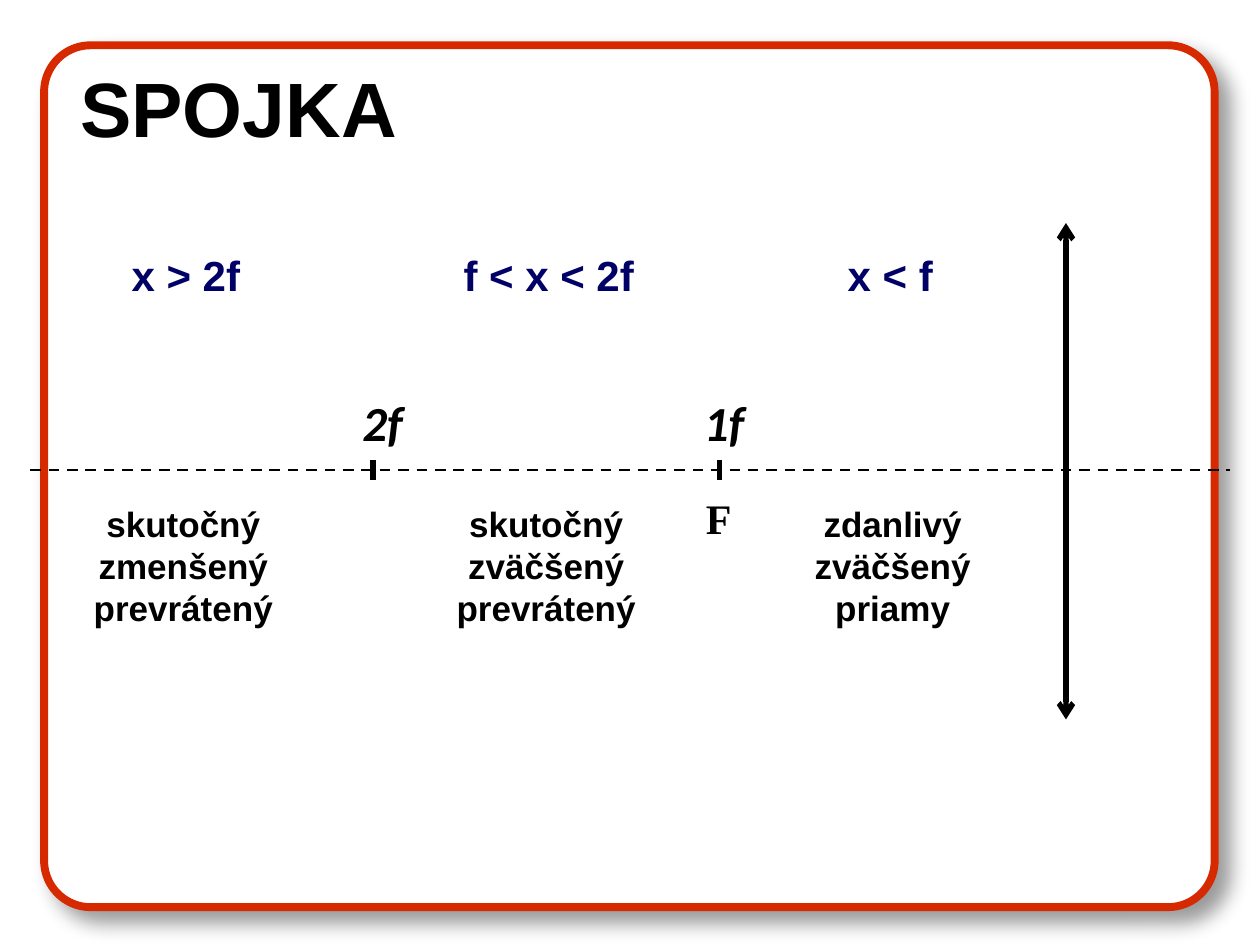
from lxml import etree
from pptx import Presentation
from pptx.dml.color import RGBColor
from pptx.enum.dml import MSO_LINE
from pptx.enum.shapes import MSO_CONNECTOR, MSO_SHAPE
from pptx.enum.text import MSO_AUTO_SIZE, PP_ALIGN
from pptx.oxml import parse_xml
from pptx.oxml.ns import nsdecls, qn
from pptx.util import Inches, Pt

BLACK = RGBColor(0x00, 0x00, 0x00)
WHITE = RGBColor(0xFF, 0xFF, 0xFF)
NAVY = RGBColor(0x00, 0x00, 0x66)
RED = RGBColor(0xD6, 0x29, 0x00)

ZONES = [
    ("x > 2f", 0.39, ["skutočný", "zmenšený", "prevrátený"], 0.19),
    ("f < x < 2f", 3.27, ["skutočný", "zväčšený", "prevrátený"], 3.07),
    ("x < f", 5.98, ["zdanlivý", "zväčšený", "priamy"], 5.82),
]


def add_label(shapes, box, lines, size, font_name="Arial", color=BLACK, italic=False):
    label = shapes.add_textbox(*map(Inches, box))
    text_frame = label.text_frame
    text_frame.word_wrap = True
    text_frame.auto_size = MSO_AUTO_SIZE.SHAPE_TO_FIT_TEXT
    text_frame.text = "\n".join(lines)
    for paragraph in text_frame.paragraphs:
        paragraph.alignment = PP_ALIGN.CENTER
        font = paragraph.runs[0].font
        font.name = font_name
        font.size = Pt(size)
        font.bold = True
        font.italic = italic
        font.color.rgb = color


def add_line(shapes, start, end, width):
    connector = shapes.add_connector(
        MSO_CONNECTOR.STRAIGHT, *map(Inches, (*start, *end))
    )
    connector.line.color.rgb = BLACK
    connector.line.width = Pt(width)
    etree.SubElement(connector.line._get_or_add_ln().getparent(), qn("a:effectLst"))
    return connector


def add_frame(shapes, box):
    frame = shapes.add_shape(MSO_SHAPE.ROUNDED_RECTANGLE, *map(Inches, box))
    frame.adjustments[0] = 0.054
    frame.fill.solid()
    frame.fill.fore_color.rgb = WHITE
    frame.line.color.rgb = RED
    frame.line.width = Pt(4.5)
    frame.shadow.inherit = False
    effects = frame._element.spPr.find(qn("a:effectLst"))
    effects.append(parse_xml(
        f'<a:outerShdw {nsdecls("a")} blurRad="{Pt(12)}" dist="{Pt(9)}" '
        'dir="2700000" algn="tl" rotWithShape="0">'
        '<a:srgbClr val="000000"><a:alpha val="40000"/></a:srgbClr></a:outerShdw>'
    ))


def add_lens(shapes, x, top, bottom):
    lens = add_line(shapes, (x, top), (x, bottom), 3)
    line = lens.line._get_or_add_ln()
    for end in ("a:headEnd", "a:tailEnd"):
        etree.SubElement(line, qn(end), type="arrow")


def add_focal_marks(shapes, lens_x, axis_y, focal_length):
    for multiple, label_shift in ((1, -0.24), (2, -0.2)):
        x = lens_x - multiple * focal_length
        add_line(shapes, (x, axis_y - 0.08), (x, axis_y + 0.08), 3)
        add_label(shapes, (x + label_shift, axis_y - 0.66, 0.55, 0.57),
                  [f"{multiple}f"], 28, "Calibri", italic=True)
    focus_x = lens_x - focal_length
    add_label(shapes, (focus_x - 0.36, axis_y + 0.13, 0.71, 0.5),
              ["F"], 24, "Times New Roman")


def add_lens_diagram(shapes, box):
    left, top, width, height = box
    axis_y = top + height / 2 - 0.01
    lens_x = left + 8.22
    group = shapes.add_group_shape().shapes
    for condition, condition_x, properties, properties_x in ZONES:
        add_label(group, (left + condition_x, top + 0.16, 1.69, 0.5),
                  [condition], 24, color=NAVY)
        add_label(group, (left + properties_x, axis_y + 0.21, 2.05, 1.11),
                  properties, 20)
    axis = add_line(group, (left, axis_y), (left + width, axis_y), 1.5)
    axis.line.dash_style = MSO_LINE.DASH
    add_lens(group, lens_x, top, top + height)
    add_focal_marks(group, lens_x, axis_y, 2.75)


def main():
    presentation = Presentation()
    presentation.slide_width = Inches(10)
    presentation.slide_height = Inches(7.5)
    slide = presentation.slides.add_slide(presentation.slide_layouts[6])
    add_frame(slide.shapes, (0.35, 0.36, 9.29, 6.84))
    add_lens_diagram(slide.shapes, (0.24, 1.77, 9.52, 3.94))
    add_label(slide.shapes, (0.26, 0.43, 3.27, 0.84), ["SPOJKA"], 44)
    presentation.save("out.pptx")


if __name__ == "__main__":
    main()
